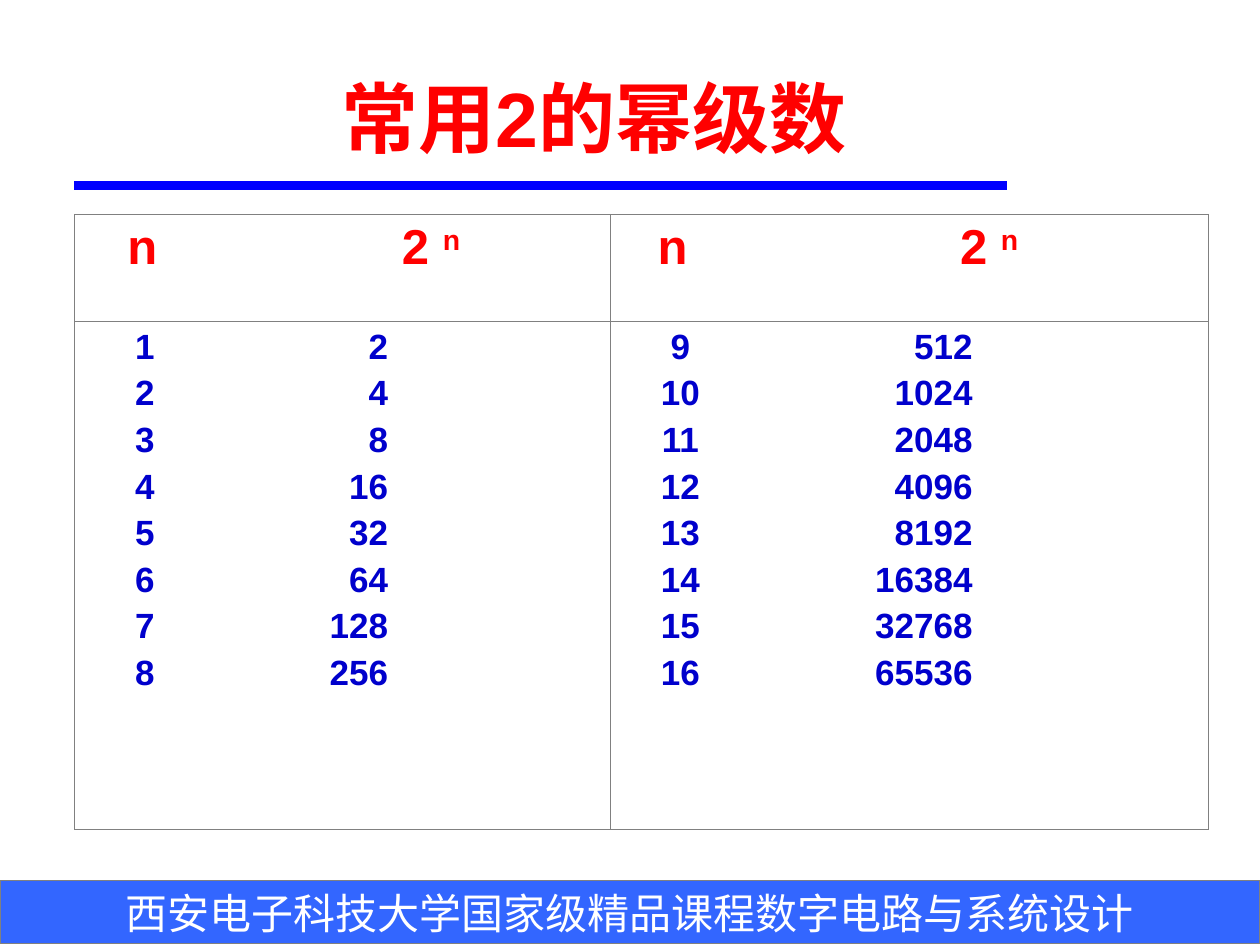
from lxml import etree
from pptx import Presentation
from pptx import util as u
from pptx.dml.color import RGBColor
from pptx.enum import shapes, text
from pptx.oxml.ns import qn

TITLE = "常用2的幂级数"
FOOTER = "西安电子科技大学国家级精品课程数字电路与系统设计"
HEADER = [("\tn\t2 ", False), ("n", True)]
COLUMNS = [
    {"width": 4.25, "powers": range(1, 9), "head_tabs": (0.32, 2.5), "value_tab": 2.39},
    {"width": 4.75, "powers": range(9, 17), "head_tabs": (0.28, 2.68), "value_tab": 2.78},
]
ROWS = (0.85, 4.03)
POWER_TAB = 0.46
THEME = {
    "font": "Arial",
    "red": "FF0000", "number": "0000CC", "rule": "0000FF",
    "band": "3366FF", "border": "808080", "white": "FFFFFF",
    "title": 44, "head": 28, "body": 20, "footer": 24, "gap": 4.3,
}


def color(name):
    return RGBColor.from_string(THEME[name])


def add_run(p, content, size, fill, bold=True, raised=False):
    r = p.add_run()
    r.text = content
    r.font.name = THEME["font"]
    r.font.size = u.Pt(THEME[size])
    r.font.bold = bold
    r.font.color.rgb = color(fill)
    if raised:
        r.font._element.set("baseline", "30000")


def set_tabs(p, stops):
    tabs = etree.SubElement(p._p.get_or_add_pPr(), qn("a:tabLst"))
    for position, align in stops:
        etree.SubElement(tabs, qn("a:tab"), pos=str(u.Inches(position)), algn=align)


def set_borders(cell):
    tcPr = cell._tc.get_or_add_tcPr()
    for i, side in enumerate(("lnL", "lnR", "lnT", "lnB")):
        ln = etree.Element(qn(f"a:{side}"), w=str(u.Pt(0.45)))
        fill = etree.SubElement(ln, qn("a:solidFill"))
        etree.SubElement(fill, qn("a:srgbClr"), val=THEME["border"])
        tcPr.insert(i, ln)


def add_title(s):
    sp = s.shapes.title
    sp.left, sp.top, sp.width, sp.height = map(u.Inches, (0.5, 0.3, 9, 1.25))
    tf = sp.text_frame
    tf.vertical_anchor = text.MSO_ANCHOR.MIDDLE
    tf.margin_left = u.Inches(2.21)
    p = tf.paragraphs[0]
    p.alignment = text.PP_ALIGN.LEFT
    add_run(p, TITLE, "title", "red")


def add_footer(s):
    sp = s.shapes.add_shape(shapes.MSO_SHAPE.RECTANGLE, 0, u.Inches(6.99), u.Inches(10), u.Inches(0.5))
    sp.shadow.inherit = False
    sp.fill.solid()
    sp.fill.fore_color.rgb = color("band")
    sp.line.color.rgb = color("border")
    sp.line.width = u.Pt(0.75)
    tf = sp.text_frame
    tf.word_wrap = True
    tf.vertical_anchor = text.MSO_ANCHOR.MIDDLE
    p = tf.paragraphs[0]
    p.alignment = text.PP_ALIGN.CENTER
    add_run(p, FOOTER, "footer", "white", bold=False)


def add_rule(s):
    y = u.Inches(1.47)
    line = s.shapes.add_connector(shapes.MSO_CONNECTOR.STRAIGHT, u.Inches(0.59), y, u.Inches(7.99), y)
    line.line.color.rgb = color("rule")
    line.line.width = u.Pt(5)
    etree.SubElement(line._element.spPr, qn("a:effectLst"))


def add_powers_table(s):
    width = sum(c["width"] for c in COLUMNS)
    frame = s.shapes.add_table(len(ROWS), len(COLUMNS), u.Inches(0.59), u.Inches(1.7),
                               u.Inches(width), u.Inches(sum(ROWS)))
    table = frame.table
    table.horz_banding = False
    for row, height in zip(table.rows, ROWS):
        row.height = u.Inches(height)
    for i, column in enumerate(COLUMNS):
        table.columns[i].width = u.Inches(column["width"])
        head, body = table.cell(0, i), table.cell(1, i)
        for cell in (head, body):
            cell.fill.background()
            set_borders(cell)

        p = head.text_frame.paragraphs[0]
        set_tabs(p, [(stop, "l") for stop in column["head_tabs"]])
        for content, raised in HEADER:
            add_run(p, content, "head", "red", raised=raised)

        tf = body.text_frame
        for k, n in enumerate(column["powers"]):
            p = tf.add_paragraph() if k else tf.paragraphs[0]
            set_tabs(p, [(POWER_TAB, "ctr"), (column["value_tab"], "r")])
            if k:
                p.space_before = u.Pt(THEME["gap"])
            add_run(p, f"\t{n}\t{2 ** n}", "body", "number")


def main():
    prs = Presentation()
    prs.slide_width, prs.slide_height = u.Inches(10), u.Inches(7.5)
    s = prs.slides.add_slide(prs.slide_layouts[5])
    add_footer(s)
    add_rule(s)
    add_powers_table(s)
    add_title(s)
    prs.save("out.pptx")


if __name__ == "__main__":
    main()
